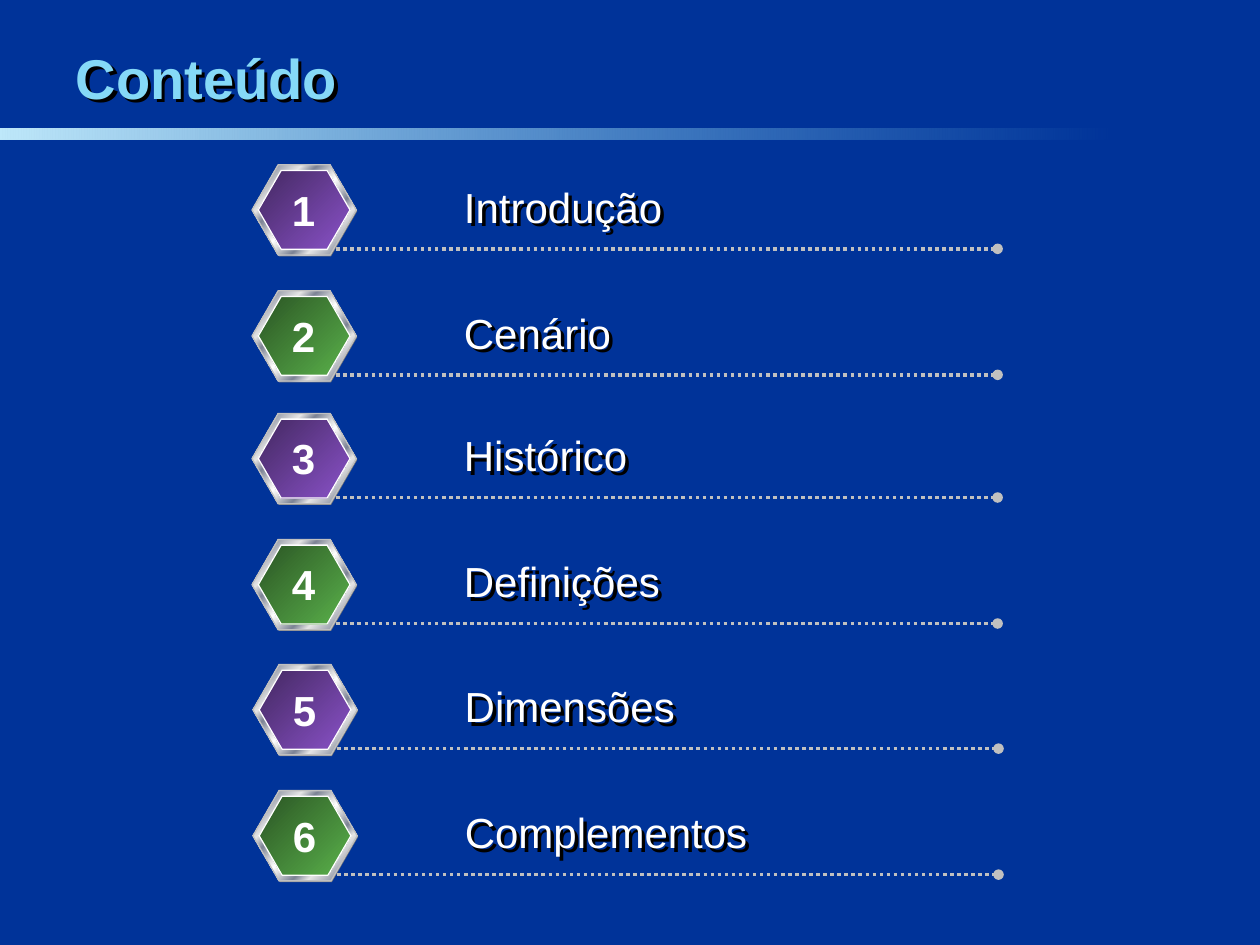
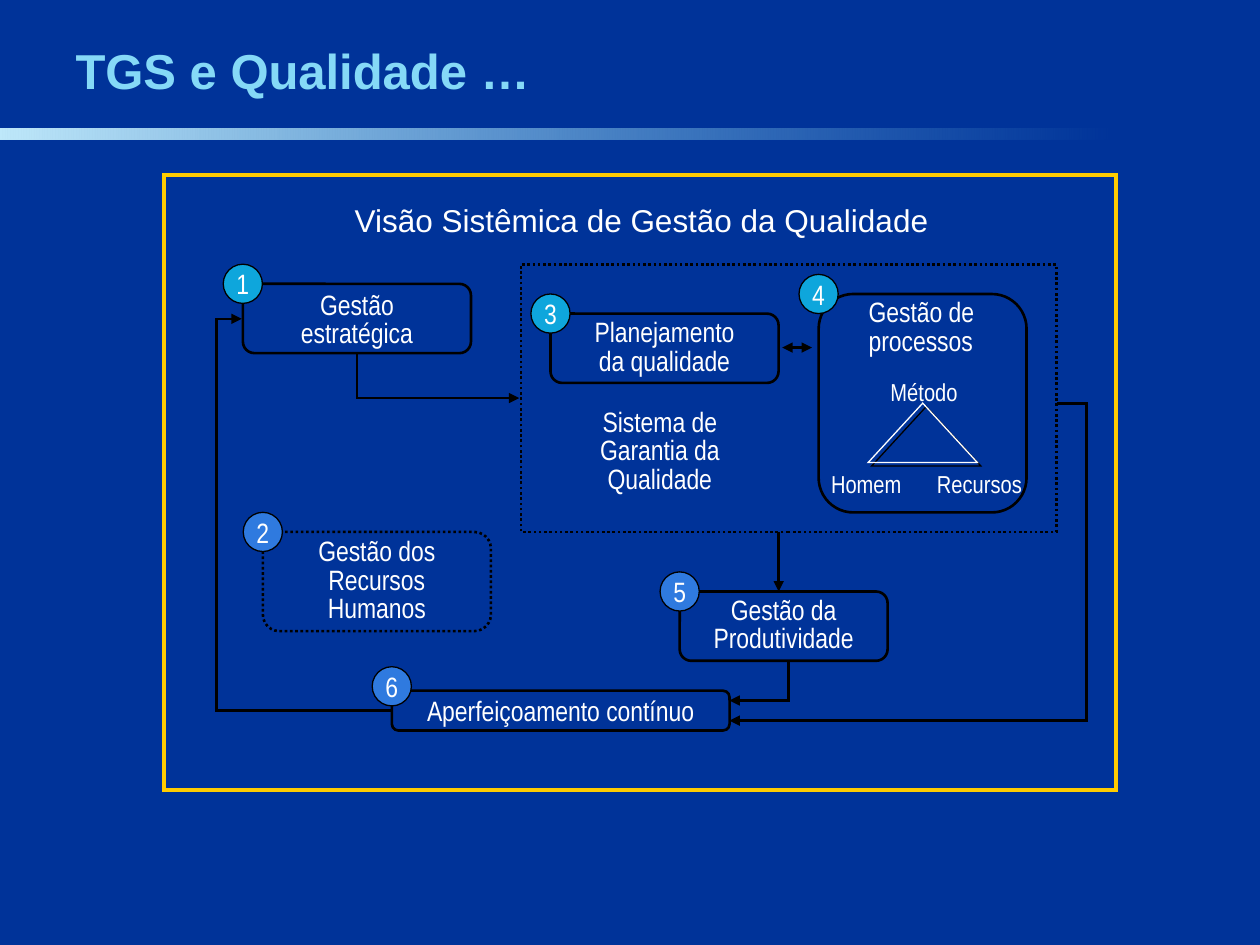
from dataclasses import dataclass

from lxml.etree import SubElement
from pptx import Presentation
from pptx.dml.color import RGBColor
from pptx.enum.dml import MSO_LINE
from pptx.enum.shapes import MSO_CONNECTOR, MSO_SHAPE
from pptx.enum.text import MSO_ANCHOR, MSO_AUTO_SIZE, PP_ALIGN
from pptx.oxml.ns import qn
from pptx.util import Pt


@dataclass(frozen=True)
class Theme:
    back: str = "003399"
    title: str = "85D9F7"
    glow: str = "BEE8FA"
    text: str = "FFFFFF"
    ink: str = "000000"
    frame: str = "FFCC00"
    rule: str = "C0C0C0"
    under: str = "808080"
    cyan: str = "0EA6DC"
    blue: str = "2F7ADF"
    gems: tuple = (("432861", "8A52C8"), ("2B5524", "5AB14B"))
    light: str = "E6E6E6"
    steel: str = "7D8496"
    font: str = "Arial"
    slim: str = "Arial Narrow"
    head: int = 32
    subhead: int = 28
    item: int = 24
    lead: int = 18
    label: int = 16
    small: int = 14


T = Theme()
METAL = [(0, T.light), (8, T.steel), (26, T.light), (34, T.steel),
         (46, T.light), (50, T.text), (54, T.light), (66, T.steel),
         (74, T.light), (92, T.steel), (100, T.light)]
TOPICS = [("Introdução", 128.2), ("Cenário", 98.6), ("Histórico", 108),
          ("Definições", 126.7), ("Dimensões", 134.6),
          ("Complementos", 176.4)]
PAIRS = [(144, 94.2), (144, 236.3), (144.5, 379.8)]
BOXES = [
    (1, "Gestão\nestratégica", 138.8, 162.2, 130.3, 39.6, T.cyan),
    (2, "Gestão dos\nRecursos\nHumanos", 150.2, 304, 130.3, 56.7, T.blue),
    (3, "Planejamento\nda qualidade", 314.6, 179.2, 130.3, 39.6, T.cyan),
    (4, "", 467.8, 168, 118.8, 124.8, T.cyan),
    (5, "Gestão da\nProdutividade", 388.4, 338, 118.8, 39.6, T.blue),
    (6, "Aperfeiçoamento contínuo", 223.9, 394.7, 193, 22.8, T.blue),
]


def color(code):
    return RGBColor.from_string(code)


def shade(shape):
    shape.shadow.inherit = False
    effects = shape.element.spPr.find(qn("a:effectLst"))
    outer = SubElement(effects, qn("a:outerShdw"), dist=str(Pt(2.8)),
                       dir="2700000", algn="ctr", rotWithShape="0")
    SubElement(outer, qn("a:srgbClr"), val=T.ink)


def blend(shape, stops, angle):
    shape.fill.gradient()
    grad = shape.element.spPr.find(qn("a:gradFill"))
    marks = grad.find(qn("a:gsLst"))
    marks.clear()
    for place, code, *alpha in stops:
        stop = SubElement(marks, qn("a:gs"), pos=str(place * 1000))
        tint = SubElement(stop, qn("a:srgbClr"), val=code)
        for value in alpha:
            SubElement(tint, qn("a:alpha"), val=str(value * 1000))
    grad.find(qn("a:lin")).set("ang", str(angle * 60000))


def stroke(shape, code, width, dots=False, head=None, tail=None):
    line = shape.line
    line.color.rgb = color(code)
    line.width = Pt(width)
    if dots:
        line.dash_style = MSO_LINE.ROUND_DOT
    ends = shape.element.spPr.find(qn("a:ln"))
    SubElement(ends, qn("a:miter"), lim="800000")
    for tag, kind in (("a:headEnd", head), ("a:tailEnd", tail)):
        if kind:
            SubElement(ends, qn(tag), type=kind)


def draw(shapes, kind, x, y, w, h, fill=None, stops=None, angle=45,
         line=None, width=0.75, dots=False):
    shape = shapes.add_shape(kind, Pt(x), Pt(y), Pt(w), Pt(h))
    shape.shadow.inherit = False
    if stops:
        blend(shape, stops, angle)
    elif fill:
        shape.fill.solid()
        shape.fill.fore_color.rgb = color(fill)
    else:
        shape.fill.background()
    if line:
        stroke(shape, line, width, dots)
    else:
        shape.line.fill.background()
    return shape


def write(shape, text, size=T.label, font=T.slim, tint=T.text, bold=False,
          align=PP_ALIGN.CENTER, anchor=MSO_ANCHOR.MIDDLE, space=None,
          wrap=False, fit=MSO_AUTO_SIZE.NONE, shadow=False):
    frame = shape.text_frame
    frame.text = text
    frame.word_wrap = wrap
    frame.auto_size = fit
    frame.vertical_anchor = anchor
    for para in frame.paragraphs:
        para.alignment = align
        if space:
            para.line_spacing = space
        for run in para.runs:
            run.font.size = Pt(size)
            run.font.bold = bold
            run.font.color.rgb = color(tint)
            run.font.name = font
    if shadow:
        shade(shape)


def note(shapes, text, x, y, w, h, align=PP_ALIGN.LEFT, **form):
    box = shapes.add_textbox(Pt(x), Pt(y), Pt(w), Pt(h))
    write(box, text, align=align, anchor=MSO_ANCHOR.TOP,
          fit=MSO_AUTO_SIZE.SHAPE_TO_FIT_TEXT, **form)


def link(shapes, start, stop, kind=MSO_CONNECTOR.STRAIGHT, code=T.ink,
         width=1.5, **ends):
    wire = shapes.add_connector(kind, *map(Pt, start + stop))
    stroke(wire, code, width, **ends)
    SubElement(wire.element.spPr, qn("a:effectLst"))
    return wire


def route(shapes, first, *rest):
    pen = shapes.build_freeform(Pt(first[0]), Pt(first[1]))
    pen.add_line_segments([(Pt(x), Pt(y)) for x, y in rest], close=False)
    trail = pen.convert_to_shape()
    trail.shadow.inherit = False
    trail.fill.background()
    stroke(trail, T.ink, 1.5, tail="triangle")


def add_band(deck, slide):
    band = draw(slide.shapes, MSO_SHAPE.RECTANGLE, 0, 73.3, 636, 6.2,
                stops=[(0, T.glow, 100), (100, T.title, 0)], angle=0)
    band.element.nvSpPr.cNvPr.set("id", "20")
    deck.slide_master.shapes.element.append(band.element)


def add_page(deck, text, y, w, h, **form):
    slide = deck.slides.add_slide(deck.slide_layouts[5])
    title = slide.shapes.title
    title.left, title.top, title.width, title.height = map(Pt, (36, y, w, h))
    write(title, text, font=T.font, tint=T.title, bold=True, wrap=True,
          align=PP_ALIGN.LEFT, **form)
    return slide


def add_topic(slide, index, text, wide):
    shapes = slide.shapes.add_group_shape().shapes
    left, top = PAIRS[index // 2]
    top += 72 * (index % 2)

    def gem(x, y, inset=0, **look):
        hexa = draw(shapes, MSO_SHAPE.HEXAGON, x + inset, y + inset * 0.9,
                    59.6 - 2 * inset, 51.6 - 1.8 * inset, **look)
        hexa.adjustments[0] = 0.29

    dark, bright = T.gems[index % 2]
    gem(left + 0.5, top + 0.7, fill=T.under)
    gem(left, top, stops=METAL, line=T.rule)
    gem(left, top, inset=3.6, stops=[(0, dark), (100, bright)], line=T.text)
    link(shapes, (left + 48.2, top + 48), (left + 426.1, top + 48),
         code=T.rule, width=2, dots=True, tail="oval")
    note(shapes, text, left + 114, top + 5.8, wide, 36, size=T.item,
         font=T.font, shadow=True)
    note(shapes, str(index + 1), left + 15.5, top + 7.6, 28, 36, size=T.item,
         font=T.font, bold=True, align=PP_ALIGN.CENTER)


def add_box(shapes, number, text, x, y, w, h, tint):
    box = draw(shapes, MSO_SHAPE.ROUNDED_RECTANGLE, x, y, w, h,
               line=T.ink, width=1.5, dots=number == 2)
    if text:
        write(box, text, space=0.85 if "\n" in text else None)
    if number == 1:
        box.text_frame.paragraphs[0].line_spacing = 1.0
    size = 22.4
    lift = 2.5 if number == 6 else 0
    badge = draw(shapes, MSO_SHAPE.OVAL, x - size / 2, y - size / 2 - lift,
                 size, size, fill=tint, line=T.ink)
    write(badge, str(number))


def add_flow(shapes):
    loop = link(shapes, (223.2, 406), (138.2, 182.2), MSO_CONNECTOR.ELBOW,
                tail="triangle")
    guides = loop.element.spPr.prstGeom.get_or_add_avLst()
    SubElement(guides, qn("a:gd"), name="adj1", fmla="val 116900")
    bend = link(shapes, (296.8, 227.5), (204, 202.5), MSO_CONNECTOR.ELBOW,
                head="triangle")
    bend.element.spPr.prstGeom.set("prst", "bentConnector2")
    route(shapes, (603.8, 230.4), (620.8, 230.4), (620.8, 411.8),
          (416.8, 411.8))
    route(shapes, (450.7, 377.6), (450.7, 400.3), (416.8, 400.3))
    link(shapes, (445, 303.9), (445, 338), tail="triangle")
    link(shapes, (447, 198.6), (464, 198.6), head="triangle",
         tail="triangle")


def add_notes(shapes):
    for text, x, y, w in (("Homem", 467.8, 264.3, 54.7),
                          ("Recursos", 528.3, 264.3, 63.4),
                          ("Método", 501.8, 211.7, 52.6)):
        note(shapes, text, x, y, w, 24, size=T.small)
    note(shapes, "Sistema de Garantia da Qualidade", 314.8, 230.5, 124.6,
         56.2, align=PP_ALIGN.CENTER, space=0.85, wrap=True)
    note(shapes, "Gestão de\nprocessos", 489.3, 168, 74.9, 40.3, space=0.85)
    note(shapes, "Visão Sistêmica de Gestão da Qualidade", 195.6, 111.6,
         342.7, 28.8, size=T.lead, font=T.font)


def add_chart(slide):
    shapes = slide.shapes
    draw(shapes, MSO_SHAPE.RECTANGLE, 297.6, 151.2, 306, 152.8,
         line=T.ink, width=1.5, dots=True)
    draw(shapes, MSO_SHAPE.RECTANGLE, 93.6, 100.1, 544.3, 351.4,
         line=T.frame, width=2.25)
    for box in BOXES:
        add_box(shapes, *box)
    add_flow(shapes)
    add_notes(shapes)
    peak = draw(shapes, MSO_SHAPE.ISOSCELES_TRIANGLE, 496.1, 230.4, 62.4,
                33.9, line=T.text)
    shade(peak)


def main():
    deck = Presentation()
    deck.slide_width, deck.slide_height = Pt(720), Pt(540)
    back = deck.slide_master.background.fill
    back.solid()
    back.fore_color.rgb = color(T.back)

    agenda = add_page(deck, "Conteúdo", 21.6, 588, 44.6, size=T.head,
                      shadow=True)
    add_band(deck, agenda)
    for index, (text, wide) in enumerate(TOPICS):
        add_topic(agenda, index, text, wide)

    system = add_page(deck, "TGS e Qualidade …", 9.8, 594, 50.4,
                      size=T.subhead, anchor=MSO_ANCHOR.BOTTOM)
    add_chart(system)
    deck.save("out.pptx")


if __name__ == "__main__":
    main()
